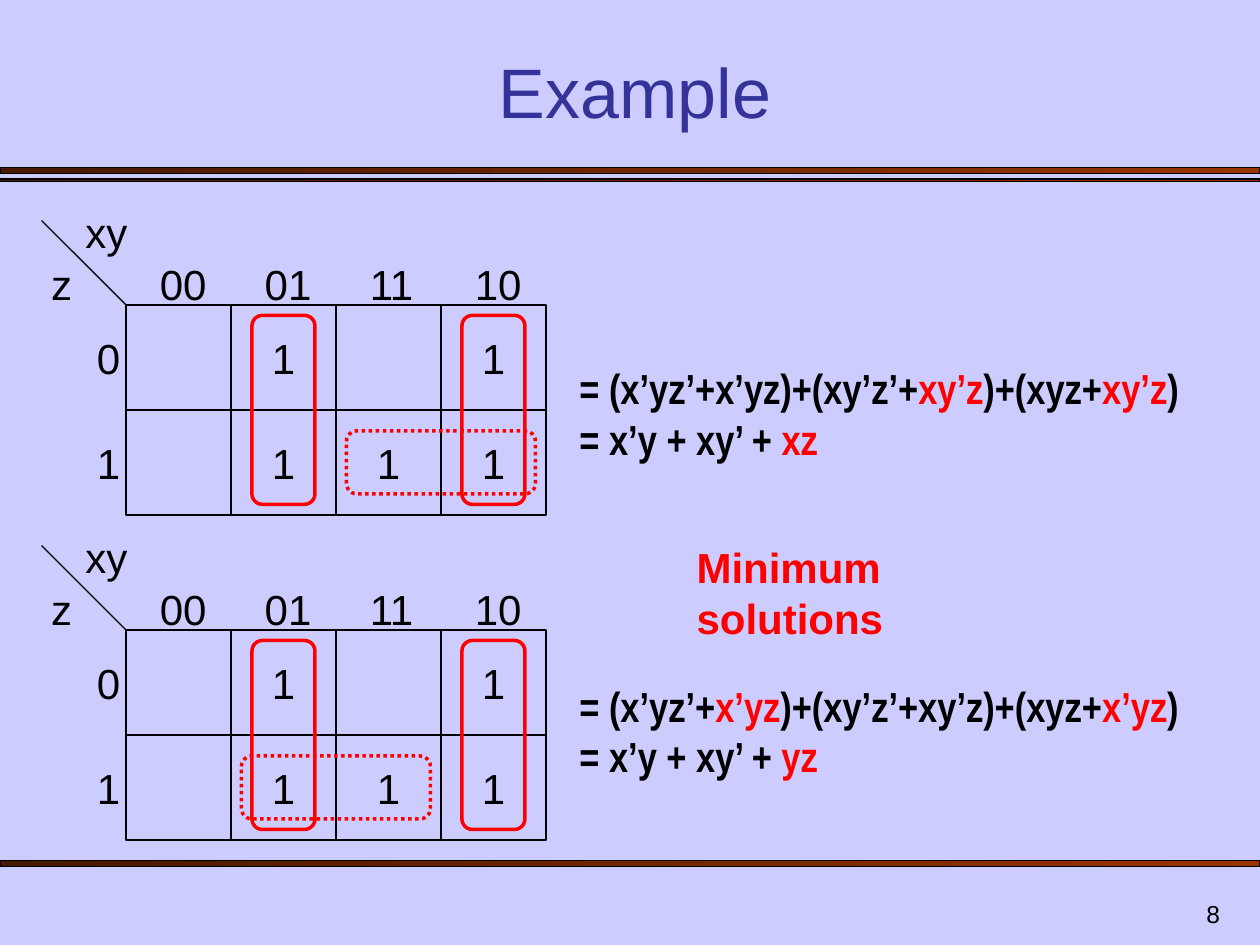
from lxml import etree
from pptx import Presentation
from pptx.dml.color import RGBColor
from pptx.enum import dml, shapes, text
from pptx.oxml.ns import qn
from pptx.util import Inches, Pt

BLACK, RED, BLUE, BACKGROUND = "000000", "FF0000", "333399", "CCCCFF"
LEFT, CENTER, RIGHT = text.PP_ALIGN.LEFT, text.PP_ALIGN.CENTER, text.PP_ALIGN.RIGHT
CELL = 5 / 6
GRID_LEFT = 1
LABEL_HEIGHT = 0.5

RULES = [(1.33, 0.05), (1.42, 0.02), (6.83, 0.05)]  # top, height
COLUMNS = ["00", "01", "11", "10"]
ROWS = ["0", "1"]
ONES = [(0, 1), (0, 3), (1, 1), (1, 2), (1, 3)]  # row, column
COLUMN_LOOPS = [1, 3]
MAPS = [  # dotted loop covers two cells of the lower row
    {"top": 2.42, "dotted_column": 2},
    {"top": 5, "dotted_column": 1},
]
FORMULAS = [  # box, then lines of (text, colour)
    ((4.5, 2.83, 5.25, 0.9), [
        [("= (x’yz’+x’yz)+(xy’z’+", BLACK), ("xy’z", RED), (")+(xyz+", BLACK),
         ("xy’z", RED), (")", BLACK)],
        [("= x’y + xy’ + ", BLACK), ("xz", RED)]]),
    ((4.5, 5.35, 5, 0.9), [
        [("= (x’yz’+", BLACK), ("x’yz", RED), (")+(xy’z’+xy’z)+(xyz+", BLACK),
         ("x’yz", RED), (")", BLACK)],
        [("= x’y + xy’ + ", BLACK), ("yz", RED)]]),
]


def color(value):
    return RGBColor.from_string(value)


def add_text(parent, box, lines, align=LEFT, anchor=text.MSO_ANCHOR.TOP, wrap=True, **font):
    """Lines are a string, or lists of (text, colour) runs parted by line breaks."""
    frame = parent.add_textbox(*map(Inches, box)).text_frame
    frame.word_wrap, frame.vertical_anchor = wrap, anchor
    paragraph = frame.paragraphs[0]
    paragraph.alignment = align
    if isinstance(lines, str):
        lines = [[(lines, BLACK)]]
    formats = {"name": "Arial", "size": Pt(24), **font}
    for index, line in enumerate(lines):
        if index:
            paragraph.add_line_break()
        for words, shade in line:
            run = paragraph.add_run()
            run.text = words
            run.font.color.rgb = color(shade)
            for name, value in formats.items():
                setattr(run.font, name, value)


def add_outline(parent, kind, box, shade=BLACK, width=0.75):
    shape = parent.add_shape(kind, *map(Inches, box))
    shape.shadow.inherit = False
    shape.fill.background()
    shape.line.color.rgb = color(shade)
    shape.line.width = Pt(width)
    return shape


def add_rule(parent, top, height):
    shape = add_outline(parent, shapes.MSO_SHAPE.RECTANGLE, (0, top, 10, height))
    shape.fill.gradient()
    shape.fill.gradient_angle = 0
    for stop, shade, position in zip(shape.fill.gradient_stops, ("471800", "993300"), (0, 1)):
        stop.color.rgb = color(shade)
        stop.position = position


def add_map(parent, top):
    """Karnaugh map whose grid starts at the given top."""
    group = parent.add_group_shape().shapes
    for row in range(len(ROWS)):
        for column in range(len(COLUMNS)):
            add_outline(group, shapes.MSO_SHAPE.RECTANGLE,
                        (GRID_LEFT + column * CELL, top + row * CELL, CELL, CELL))
    diagonal = group.add_connector(shapes.MSO_CONNECTOR.STRAIGHT, *map(
        Inches, (GRID_LEFT - 0.67, top - 0.67, GRID_LEFT, top)))
    diagonal.line.color.rgb = color(BLACK)
    diagonal.line.width = Pt(0.75)
    etree.SubElement(diagonal._element.spPr, qn("a:effectLst"))

    add_text(group, (0.58, top - 0.83, 0.67, LABEL_HEIGHT), "xy")
    add_text(group, (0.17, top - 0.42, 0.5, LABEL_HEIGHT), "z", RIGHT)
    for column, label in enumerate(COLUMNS):
        add_text(group, (GRID_LEFT + 0.17 + column * CELL, top - 0.42, 0.6, LABEL_HEIGHT), label)
    for row, label in enumerate(ROWS):
        add_text(group, (0.67, top + 0.17 + row * CELL, 0.43, LABEL_HEIGHT), label)
    for row, column in ONES:
        add_text(group, (GRID_LEFT + column * CELL, top + 0.17 + row * CELL, CELL, LABEL_HEIGHT),
                 "1", CENTER)


def add_loop(parent, top, row, column, rows, columns):
    """Red loop centred on a block of cells."""
    width, height = (0.5 if span == 1 else 1.5 for span in (columns, rows))
    x = GRID_LEFT + (column + columns / 2) * CELL - width / 2
    y = top + (row + rows / 2) * CELL - height / 2
    loop = add_outline(parent, shapes.MSO_SHAPE.ROUNDED_RECTANGLE, (x, y, width, height), RED, 2)
    loop.adjustments[0] = 1 / 6
    return loop


def main():
    presentation = Presentation()
    presentation.slide_width, presentation.slide_height = Inches(10), Inches(7.5)
    slide = presentation.slides.add_slide(presentation.slide_layouts[6])
    slide.background.fill.solid()
    slide.background.fill.fore_color.rgb = color(BACKGROUND)
    canvas = slide.shapes

    for top, height in RULES:
        add_rule(canvas, top, height)
    add_text(canvas, (7.7, 7, 2.08, 0.42), "8", RIGHT, text.MSO_ANCHOR.BOTTOM, size=Pt(14))
    add_text(canvas, (0.58, 0.42, 8.92, 0.68), [[("Example", BLUE)]], CENTER,
             text.MSO_ANCHOR.BOTTOM, size=Pt(40))

    for karnaugh in MAPS:
        top = karnaugh["top"]
        add_map(canvas, top)
        for column in COLUMN_LOOPS:
            add_loop(canvas, top, 0, column, 2, 1)
        dotted = add_loop(canvas, top, 1, karnaugh["dotted_column"], 1, 2)
        dotted.line.dash_style = dml.MSO_LINE.ROUND_DOT

    for box, lines in FORMULAS:
        add_text(canvas, box, lines, name="Arial Narrow", bold=True)
    add_text(canvas, (5.43, 4.25, 3.23, 0.5), [[("Minimum solutions", RED)]], wrap=False, bold=True)

    presentation.save("out.pptx")


if __name__ == "__main__":
    main()
